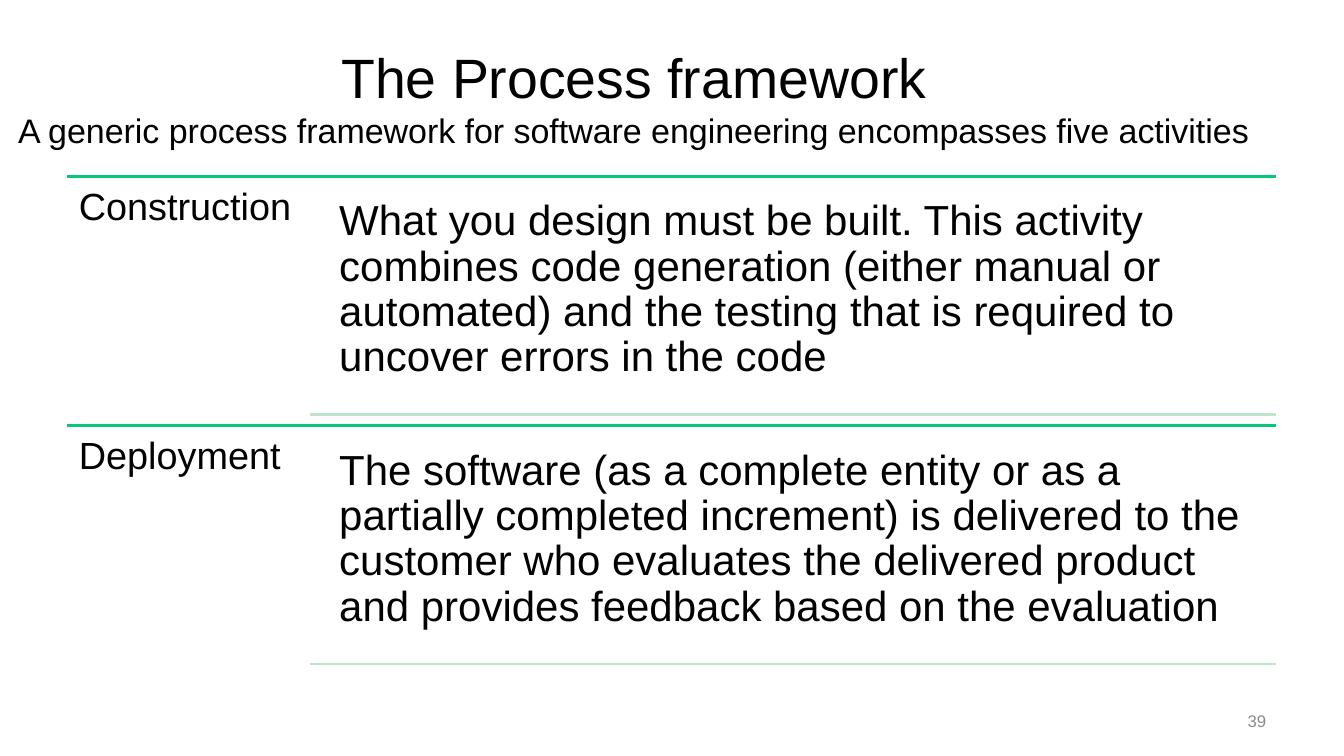
from dataclasses import dataclass

import pptx
import pptx.dml.color
import pptx.enum.shapes
import pptx.enum.text
import pptx.oxml.ns
import pptx.util
from lxml import etree
from pptx.util import Cm

RGB = pptx.dml.color.RGBColor
ALIGN = pptx.enum.text.PP_ALIGN
ANCHOR = pptx.enum.text.MSO_ANCHOR

BLACK = RGB(0x00, 0x00, 0x00)
GREY = RGB(0x8C, 0x8C, 0x8C)
GREEN = RGB(0x09, 0xC7, 0x7A)
PALE = RGB(0xBD, 0xE5, 0xCB)

LEFT, RIGHT = 1.7, 32.16
TOP, PITCH = 4.45, 6.28


@dataclass
class Step:
    name: str
    text: str


STEPS = [
    Step("Construction",
         "What you design must be built. This activity combines code generation "
         "(either manual or automated) and the testing that is required to "
         "uncover errors in the code"),
    Step("Deployment",
         "The software (as a complete entity or as a partially completed "
         "increment) is delivered to the customer who evaluates the delivered "
         "product and provides feedback based on the evaluation"),
]


def style(para, size: float, color: RGB = BLACK) -> None:
    for run in para.runs:
        run.font.name = "Arial"
        run.font.size = pptx.util.Pt(size)
        run.font.color.rgb = color


def add_title(slide) -> None:
    title = slide.shapes.title
    title.left, title.top = Cm(0.2), Cm(0.84)
    title.width, title.height = Cm(31.55), Cm(3.18)
    frame = title.text_frame
    frame.text = ("The Process framework\n"
                  "A generic process framework for software engineering "
                  "encompasses five activities")
    frame.word_wrap = True
    frame.auto_size = pptx.enum.text.MSO_AUTO_SIZE.NONE
    frame.vertical_anchor = ANCHOR.MIDDLE
    for para, size in zip(frame.paragraphs, (39.6, 24.3)):
        para.alignment = ALIGN.CENTER
        style(para, size)


def add_rule(slide, left: float, y: float, color: RGB) -> None:
    rule = slide.shapes.add_connector(
        pptx.enum.shapes.MSO_CONNECTOR.STRAIGHT,
        Cm(left), Cm(y), Cm(RIGHT), Cm(y))
    rule.line.color.rgb = color
    rule.line.width = pptx.util.Pt(2)
    props = rule.element.spPr
    etree.SubElement(props, pptx.oxml.ns.qn("a:effectLst"))


def add_text(slide, text: str, left: float, top: float, width: float,
             height: float, size: float, inset: float):
    box = slide.shapes.add_textbox(Cm(left), Cm(top), Cm(width), Cm(height))
    frame = box.text_frame
    frame.text = text
    frame.word_wrap = True
    frame.margin_left = frame.margin_right = Cm(inset)
    frame.margin_top = frame.margin_bottom = Cm(inset)
    para = frame.paragraphs[0]
    para.line_spacing = 0.9
    style(para, size)
    return frame


def add_step(slide, step: Step, top: float) -> None:
    add_rule(slide, LEFT, top, GREEN)
    add_text(slide, step.name, LEFT, top, 6.1, PITCH, 27, 0.29)
    add_text(slide, step.text, 8.25, top + 0.28, 23.92, 5.72, 30, 0.3)
    add_rule(slide, 7.8, top + 6, PALE)


def add_number(slide) -> None:
    frame = add_text(slide, "39", 24.26, 17.65, 7.9, 1.02, 12, 0.25)
    frame.vertical_anchor = ANCHOR.MIDDLE
    para = frame.paragraphs[0]
    para.alignment = ALIGN.RIGHT
    para.line_spacing = 1.0
    style(para, 12, GREY)


def main() -> None:
    deck = pptx.Presentation()
    deck.slide_width, deck.slide_height = Cm(33.87), Cm(19.05)
    slide = deck.slides.add_slide(deck.slide_layouts.get_by_name("Title Only"))
    add_title(slide)
    for row, step in enumerate(STEPS):
        add_step(slide, step, TOP + row * PITCH)
    add_number(slide)
    deck.save("out.pptx")


if __name__ == "__main__":
    main()
